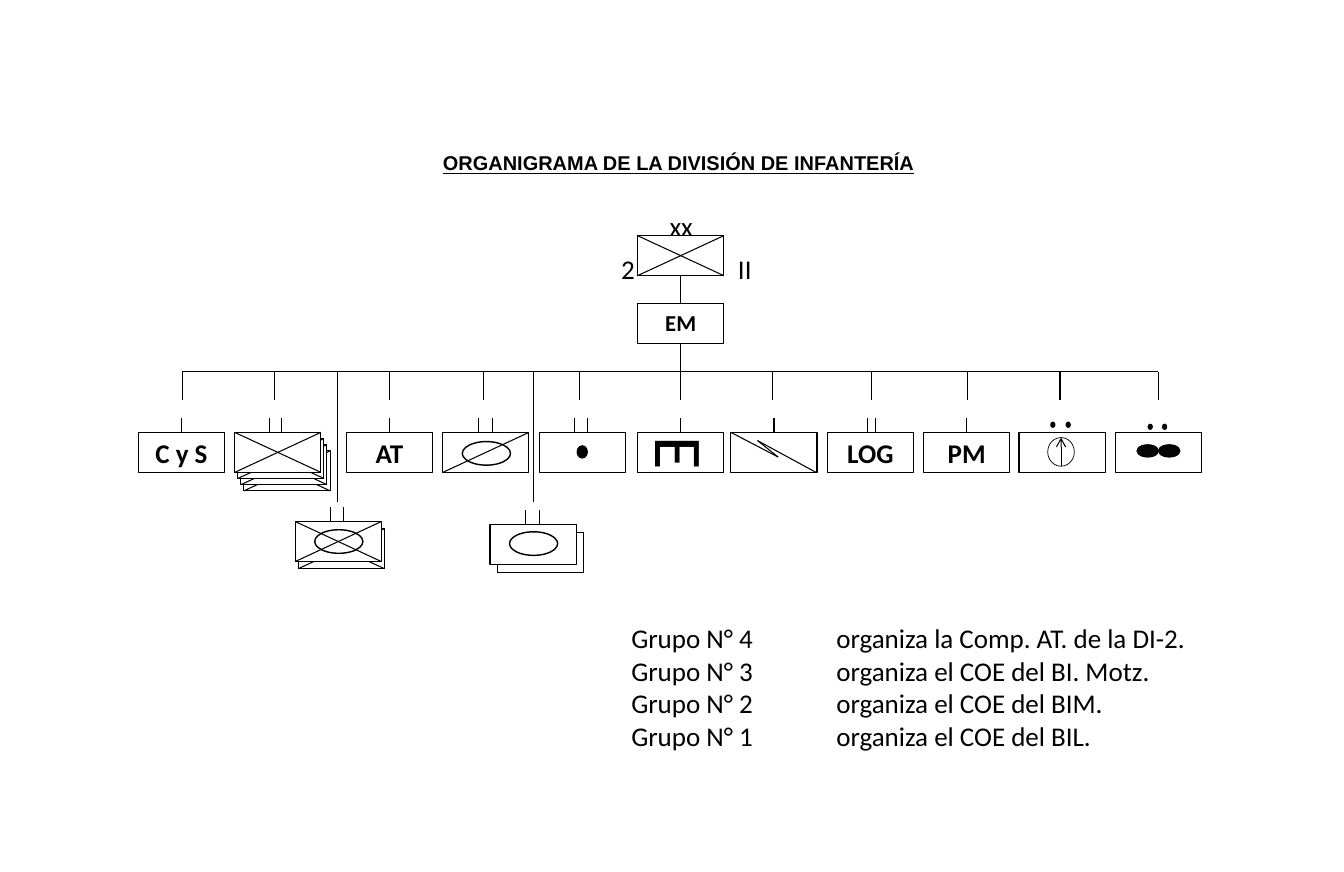
from lxml.etree import SubElement
from pptx import Presentation
from pptx.dml.color import RGBColor
from pptx.enum.shapes import MSO_CONNECTOR, MSO_SHAPE
from pptx.enum.text import MSO_ANCHOR, MSO_AUTO_SIZE, PP_ALIGN
from pptx.oxml.ns import qn
from pptx.util import Emu, Pt

EMU_PER_PX = 9144
BOX_WIDTH, BOX_HEIGHT = 84, 39
BUS_TOP, ROW_TOP = 363, 422
TICK_HEIGHT = 14
BLACK, WHITE, DOT = "000000", "FFFFFF", "050505"

# box left, drop x, strength tick positions (None joins one tick to the box), label
UNITS = [
    (135, 178, None, "C y S"),
    (229, 268, (263, 275), ""),
    (338, 380, None, "AT"),
    (432, 472, (467, 480), ""),
    (526, 565, (560, 573), ""),
    (622, 664, None, ""),
    (713, 754, None, ""),
    (807, 850, (846, 854), "LOG"),
    (901, 944, None, "PM"),
    (994, 1034, (), ""),
    (1088, 1130, (), ""),
]

LEGEND = """Grupo N° 4\torganiza la Comp. AT. de la DI-2.
Grupo N° 3\torganiza el COE del BI. Motz.
Grupo N° 2\torganiza el COE del BIM.
Grupo N° 1\torganiza el COE del BIL."""


def px(value):
    """Turn px into EMU."""
    return Emu(int(value * EMU_PER_PX))


def color(hex_string):
    """Turn a hex string into a colour."""
    return RGBColor.from_string(hex_string)


def put_text(shape, text, size=19, font="Calibri", bold=False, underline=False,
             align=PP_ALIGN.CENTER, anchor=MSO_ANCHOR.TOP, wrap=True, tab=None):
    """Write formatted lines of text into a shape."""
    frame = shape.text_frame
    frame.auto_size = MSO_AUTO_SIZE.NONE
    frame.word_wrap = wrap
    frame.vertical_anchor = anchor
    frame.margin_left = frame.margin_right = px(10)
    frame.margin_top = frame.margin_bottom = px(5)
    for index, content in enumerate(text.split("\n")):
        paragraph = frame.add_paragraph() if index else frame.paragraphs[0]
        paragraph.alignment = align
        if tab:
            tabs = SubElement(paragraph._p.get_or_add_pPr(), qn("a:tabLst"))
            SubElement(tabs, qn("a:tab"), pos=str(px(tab)), algn="l")
        run = paragraph.add_run()
        run.text = content
        run.font.size = Pt(size)
        run.font.name = font
        run.font.bold = bold
        run.font.underline = underline
        run.font.color.rgb = color(BLACK)


def add_label(slide, left, top, width, height, text, **text_format):
    """Add a text box."""
    shape = slide.shapes.add_textbox(px(left), px(top), px(width), px(height))
    put_text(shape, text, **text_format)
    return shape


def add_figure(slide, kind, left, top, width, height, fill=WHITE, weight=0.75):
    """Add an outlined shape, hollow when fill is None."""
    shape = slide.shapes.add_shape(kind, px(left), px(top), px(width), px(height))
    shape.shadow.inherit = False
    if fill:
        shape.fill.solid()
        shape.fill.fore_color.rgb = color(fill)
    else:
        shape.fill.background()
    shape.line.color.rgb = color(BLACK)
    shape.line.width = Pt(weight)
    return shape


def add_ellipse(slide, left, top, width, height, **outline):
    """Add an ellipse."""
    return add_figure(slide, MSO_SHAPE.OVAL, left, top, width, height, **outline)


def add_armor(slide, left, top):
    """Add the hollow oval of an armored unit."""
    add_ellipse(slide, left, top, 47, 23, fill=None, weight=1)


def add_box(slide, left, top, text="", **text_format):
    """Add a unit box with an optional label."""
    box = add_figure(slide, MSO_SHAPE.RECTANGLE, left, top, BOX_WIDTH, BOX_HEIGHT)
    if text:
        put_text(box, text, bold=True, **text_format)
    return box


def add_line(slide, start, end, arrow=False):
    """Add a thin straight connector."""
    connector = slide.shapes.add_connector(
        MSO_CONNECTOR.STRAIGHT, *(px(value) for value in (*start, *end)))
    connector.line.color.rgb = color(BLACK)
    connector.line.width = Pt(0.75)
    properties = connector._element.spPr
    if arrow:
        SubElement(properties.find(qn("a:ln")), qn("a:tailEnd"), type="arrow")
    SubElement(properties, qn("a:effectLst"))
    return connector


def add_ticks(slide, positions, bottom):
    """Add the vertical strength marks above a box."""
    for x in positions:
        add_line(slide, (x, bottom - TICK_HEIGHT), (x, bottom))


def add_infantry_box(slide, left, top):
    """Add a box crossed by both diagonals."""
    box = add_box(slide, left, top)
    right, bottom = left + BOX_WIDTH, top + BOX_HEIGHT
    add_line(slide, (right, top), (left, bottom))
    add_line(slide, (right, bottom), (left, top))
    return box


def add_command(slide):
    """Add the division symbol, its staff box and the bus line."""
    staff = add_box(slide, 622, 296, "EM", size=16)
    division = add_infantry_box(slide, 622, 230)
    link = add_line(slide, (664, 269), (664, 296))
    link.begin_connect(division, 2)
    link.end_connect(staff, 0)
    stem = add_line(slide, (664, 335), (664, BUS_TOP))
    stem.begin_connect(staff, 2)
    add_line(slide, (178, BUS_TOP), (1130, BUS_TOP))
    for left, top, text in [(641, 199, "xx"), (589, 241, "2"), (703, 241, "II")]:
        add_label(slide, left, top, 47, 42, text)


def add_unit_row(slide):
    """Add the row of units with their drops and strength ticks."""
    for left, drop, ticks, text in UNITS:
        add_line(slide, (drop, BUS_TOP), (drop, 390))
        box = add_box(slide, left, ROW_TOP, text, anchor=MSO_ANCHOR.MIDDLE,
                      wrap=text != "C y S")
        if ticks is None:
            middle = left + BOX_WIDTH // 2
            tick = add_line(slide, (middle, ROW_TOP - TICK_HEIGHT), (middle, ROW_TOP))
            tick.end_connect(box, 0)
        else:
            add_ticks(slide, ticks, ROW_TOP)


def add_unit_symbols(slide):
    """Draw the symbols inside and above the unit boxes."""
    for depth in (3, 2, 1, 0):
        add_infantry_box(slide, 229 + 3 * depth, ROW_TOP + 6 * depth)
    add_line(slide, (432 + BOX_WIDTH, ROW_TOP), (432, ROW_TOP + BOX_HEIGHT))
    add_armor(slide, 451, 431)
    add_ellipse(slide, 563, 435, 10, 12, fill=DOT)
    engineers = add_label(slide, 646, 390, 38, 91, "E", size=48, align=PP_ALIGN.LEFT)
    engineers.rotation = 90
    bolt = [(713, 422), (759, 446), (739, 430), (796, 461)]
    for start, end in zip(bolt, bolt[1:]):
        add_line(slide, start, end)
    add_ellipse(slide, 1022, 427, 26, 28, weight=0.5)
    add_line(slide, (1035, 455), (1035, 427), arrow=True)
    for left, top in [(1025, 412), (1040, 412), (1120, 414), (1134, 414)]:
        add_ellipse(slide, left, top, 4, 5, fill=DOT)
    for left in (1109, 1130):
        add_ellipse(slide, left, 434, 21, 12, fill=DOT)


def add_lower_units(slide):
    """Add the two armored stacks below the row."""
    for left, top in [(485, 520), (478, 512)]:
        add_box(slide, left, top)
        add_armor(slide, left + 19, top + 7)
    add_ticks(slide, (513, 526), 512)
    add_line(slide, (520, BUS_TOP), (520, 490))
    for left, top in [(291, 516), (288, 509)]:
        add_infantry_box(slide, left, top)
    add_ticks(slide, (322, 335), 509)
    add_armor(slide, 307, 517)
    add_line(slide, (329, BUS_TOP), (329, 490))


def main():
    """Build and save the organization chart."""
    presentation = Presentation()
    presentation.slide_width, presentation.slide_height = px(1311), px(851)
    slide = presentation.slides.add_slide(presentation.slide_layouts[5])
    title = slide.shapes.title
    title.left, title.top, title.width, title.height = px(422), px(142), px(483), px(34)
    put_text(title, "ORGANIGRAMA DE LA DIVISIÓN DE INFANTERÍA", size=14, font="Arial",
             bold=True, underline=True, align=PP_ALIGN.LEFT,
             anchor=MSO_ANCHOR.MIDDLE, wrap=False)
    add_command(slide)
    add_unit_row(slide)
    add_unit_symbols(slide)
    add_lower_units(slide)
    add_label(slide, 606, 602, 656, 138, LEGEND, align=PP_ALIGN.LEFT, tab=200)
    presentation.save("out.pptx")


if __name__ == "__main__":
    main()
